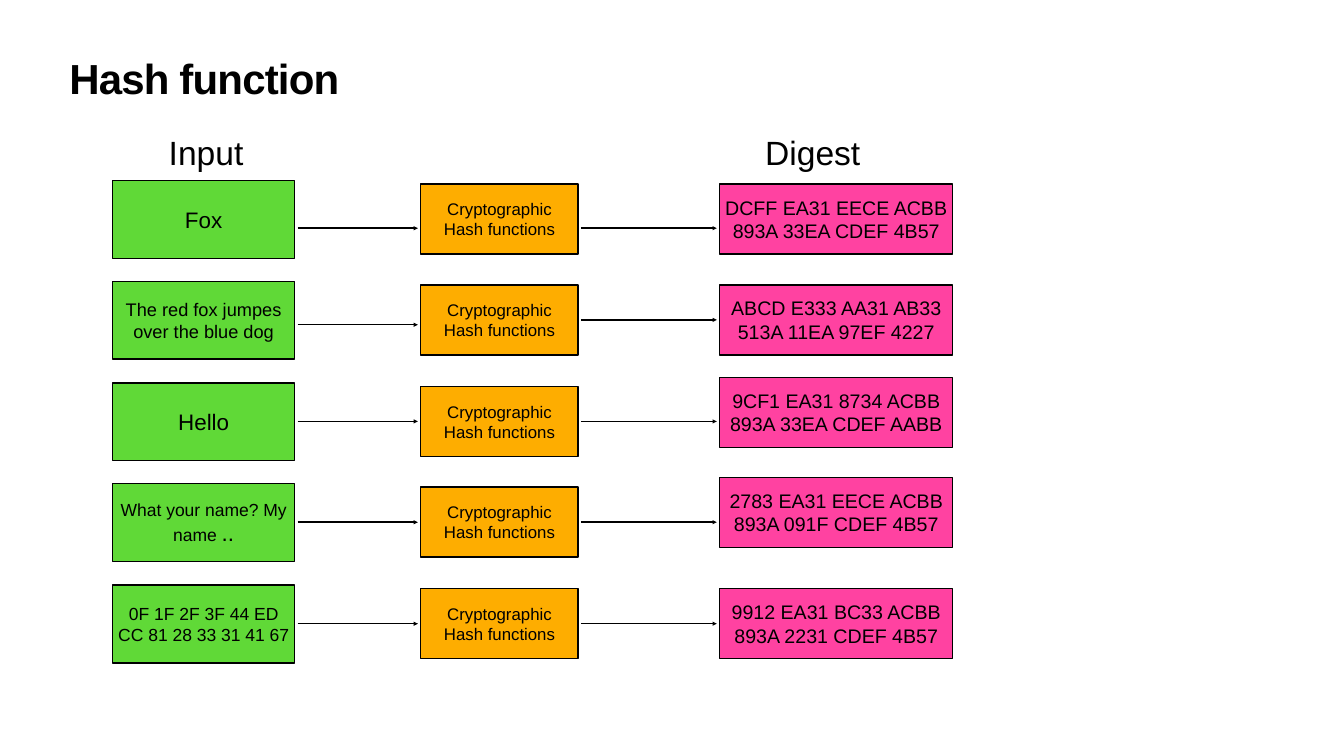
"""Build the hash function slide: inputs, hash boxes and digests in five rows."""
from dataclasses import dataclass

from lxml.etree import SubElement
from pptx import Presentation
from pptx.dml.color import RGBColor
from pptx.enum.shapes import MSO_CONNECTOR, MSO_SHAPE
from pptx.enum.text import MSO_ANCHOR, MSO_AUTO_SIZE, PP_ALIGN
from pptx.oxml.ns import qn
from pptx.util import Emu, Pt

SCALE = 12700
FIRST_CENTER = 313
DOUBLE_PITCH = 289

INPUT_X, INPUT_W, INPUT_H = 161, 260, 111
HASH_X, HASH_W = 601, 225
DIGEST_X, DIGEST_W = 1028, 333
BOX_H = 100
GAP = 4
INSET = 4


@dataclass(frozen=True)
class Theme:
    font: str = "Arial"
    ink: str = "000000"
    green: str = "60D937"
    orange: str = "FEAD00"
    pink: str = "FF42A1"
    title: int = 60
    heading: int = 48
    large: int = 32
    digest: int = 28
    phrase: int = 26
    small: int = 25
    hash: int = 24
    line: int = 2


THEME = Theme()

# Each row: input runs, digest, digest shift, left and right arrow shifts.
ROWS = [
    ([("Fox", THEME.large)],
     "DCFF EA31 EECE ACBB\n893A 33EA CDEF 4B57", 0, 13, 13),
    ([("The red fox jumpes over the blue dog", THEME.phrase)],
     "ABCD E333 AA31 AB33\n513A 11EA 97EF 4227", 0, 7, 0),
    ([("Hello", THEME.large)],
     "9CF1 EA31 8734 ACBB\n893A 33EA CDEF AABB", -13, 0, 0),
    ([("What your name? My name ", THEME.small), ("..", THEME.large)],
     "2783 EA31 EECE ACBB\n893A 091F CDEF 4B57", -14, 0, 0),
    ([("0F 1F 2F 3F 44 ED CC 81 28 33 31 41 67", THEME.small)],
     "9912 EA31 BC33 ACBB\n893A 2231 CDEF 4B57", 0, 0, 0),
]


def px(*lengths):
    """Turn px lengths into EMU."""
    return [Emu(n * SCALE) for n in lengths]


def style_run(r, size, bold=False):
    """Give a run the theme font, its size and the ink colour."""
    r.font.name = THEME.font
    r.font.size = Pt(size)
    r.font.bold = bold
    r.font.color.rgb = RGBColor.from_string(THEME.ink)


def style_frame(tf, anchor, wrap=True):
    """Set the insets, anchor and wrapping of a text frame."""
    tf.margin_left, tf.margin_top, tf.margin_right, tf.margin_bottom = px(*[INSET] * 4)
    tf.vertical_anchor = anchor
    tf.word_wrap = wrap


def add_title(slide, text):
    """Place and format the title placeholder."""
    sp = slide.shapes.title
    sp.left, sp.top, sp.width, sp.height = px(95, 85, 1730, 113)
    tf = sp.text_frame
    tf.text = text
    tf.auto_size = MSO_AUTO_SIZE.NONE
    style_frame(tf, MSO_ANCHOR.TOP)
    p = tf.paragraphs[0]
    p.alignment = PP_ALIGN.LEFT
    p.line_spacing = 0.8
    r = p.runs[0]
    style_run(r, THEME.title, bold=True)
    r.font._element.set("spc", "-120")


def add_heading(slide, x, width, text):
    """Add a column heading."""
    tf = slide.shapes.add_textbox(*px(x, 190, width, 63)).text_frame
    tf.text = text
    style_frame(tf, MSO_ANCHOR.MIDDLE, wrap=False)
    tf.auto_size = MSO_AUTO_SIZE.SHAPE_TO_FIT_TEXT
    p = tf.paragraphs[0]
    p.line_spacing = 0.9
    style_run(p.runs[0], THEME.heading)


def add_box(slide, x, center, width, height, fill):
    """Add an outlined box centred on a row and return its text frame."""
    sp = slide.shapes.add_shape(
        MSO_SHAPE.RECTANGLE, *px(x, center - height // 2, width, height))
    sp.shadow.inherit = False
    sp.fill.solid()
    sp.fill.fore_color.rgb = RGBColor.from_string(fill)
    sp.line.color.rgb = RGBColor.from_string(THEME.ink)
    sp.line.width = Pt(THEME.line)
    style_frame(sp.text_frame, MSO_ANCHOR.MIDDLE)
    return sp.text_frame


def add_input(slide, center, parts):
    """Add an input box whose runs may differ in size."""
    tf = add_box(slide, INPUT_X, center, INPUT_W, INPUT_H, THEME.green)
    p = tf.paragraphs[0]
    p.alignment = PP_ALIGN.CENTER
    for text, size in parts:
        r = p.add_run()
        r.text = text
        style_run(r, size)


def add_label_box(slide, x, center, width, fill, text, size):
    """Add a box with text of one size."""
    tf = add_box(slide, x, center, width, BOX_H, fill)
    tf.text = text
    for p in tf.paragraphs:
        p.alignment = PP_ALIGN.CENTER
        for r in p.runs:
            style_run(r, size)


def add_arrow(slide, x1, x2, y):
    """Add a horizontal arrow between two columns."""
    cxn = slide.shapes.add_connector(
        MSO_CONNECTOR.STRAIGHT, *px(x1 + GAP, y, x2 - GAP, y))
    cxn.line.color.rgb = RGBColor.from_string(THEME.ink)
    cxn.line.width = Pt(THEME.line)
    SubElement(cxn.line._get_or_add_ln(), qn("a:tailEnd"), type="triangle")
    SubElement(cxn._element.spPr, qn("a:effectLst"))


def add_row(slide, center, row):
    """Add one input, hash function and digest with their arrows."""
    parts, digest, shift, left_shift, right_shift = row
    add_input(slide, center, parts)
    add_label_box(slide, HASH_X, center, HASH_W, THEME.orange,
                  "Cryptographic\vHash functions", THEME.hash)
    add_label_box(slide, DIGEST_X, center + shift, DIGEST_W, THEME.pink,
                  digest, THEME.digest)
    add_arrow(slide, INPUT_X + INPUT_W, HASH_X, center + left_shift)
    add_arrow(slide, HASH_X + HASH_W, DIGEST_X, center + right_shift)


def main():
    """Build and save the slide."""
    prs = Presentation()
    prs.slide_width, prs.slide_height = px(1920, 1080)
    slide = prs.slides.add_slide(prs.slide_layouts[5])
    add_title(slide, "Hash function")
    add_heading(slide, 237, 118, "Input")
    add_heading(slide, 1089, 146, "Digest")
    for i, row in enumerate(ROWS):
        add_row(slide, FIRST_CENTER + i * DOUBLE_PITCH // 2, row)
    prs.save("out.pptx")


if __name__ == "__main__":
    main()
